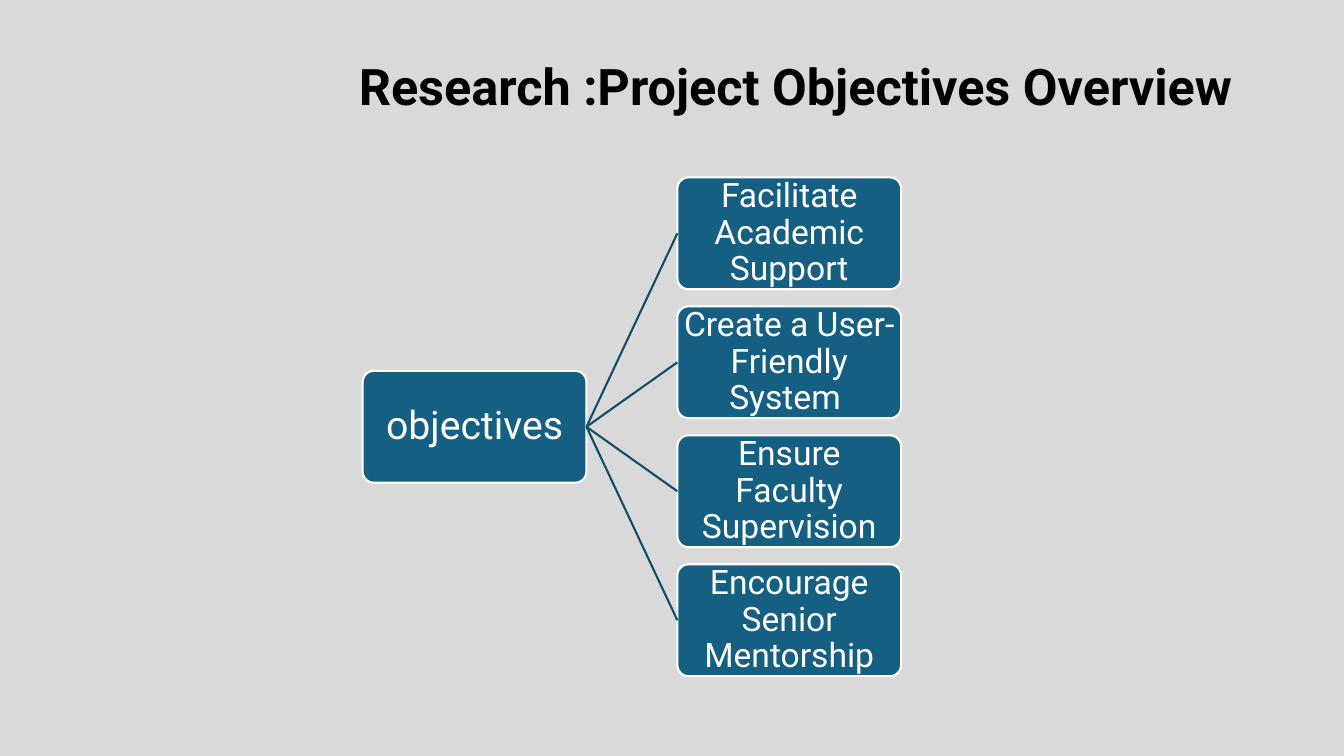
from dataclasses import dataclass

from lxml.etree import SubElement
from pptx import Presentation
from pptx.dml.color import RGBColor
from pptx.enum.shapes import MSO_CONNECTOR, MSO_SHAPE
from pptx.enum.text import MSO_ANCHOR, PP_ALIGN
from pptx.oxml.ns import qn
from pptx.util import Cm, Pt


@dataclass(frozen=True)
class Theme:
    font: str = "Roboto"
    background: RGBColor = RGBColor(0xD9, 0xD9, 0xD9)
    title: RGBColor = RGBColor(0x00, 0x00, 0x00)
    box: RGBColor = RGBColor(0x15, 0x60, 0x82)
    box_text: RGBColor = RGBColor(0xFF, 0xFF, 0xFF)
    link: RGBColor = RGBColor(0x11, 0x4D, 0x68)
    title_size: Pt = Pt(36)
    root_size: Pt = Pt(28)
    branch_size: Pt = Pt(24)
    line_width: Pt = Pt(1.5)


THEME = Theme()

# Tree layout in centimetres
BOX_WIDTH, BOX_HEIGHT = 5.64, 2.82
ROOT_LEFT, BRANCH_LEFT = 9.14, 17.07
BRANCH_TOP, BRANCH_PITCH = 4.47, 3.25

OBJECTIVES = [
    "Facilitate Academic Support",
    "Create a User-Friendly System ",
    "Ensure Faculty Supervision",
    "Encourage Senior Mentorship",
]


def add_span(para, text, size, color, bold=False):
    span = para.add_run()
    span.text = text
    span.font.name = THEME.font
    span.font.size = size
    span.font.bold = bold
    span.font.color.rgb = color


def set_title(page, text):
    title = page.shapes.title
    title.left, title.top = Cm(8.79), Cm(1.27)
    title.width, title.height = Cm(24.18), Cm(1.8)
    frame = title.text_frame
    frame.vertical_anchor = MSO_ANCHOR.TOP
    para = frame.paragraphs[0]
    para.alignment = PP_ALIGN.LEFT
    add_span(para, text, THEME.title_size, THEME.title, bold=True)


def add_box(page, left, top, text, size):
    box = page.shapes.add_shape(
        MSO_SHAPE.ROUNDED_RECTANGLE, Cm(left), Cm(top), Cm(BOX_WIDTH), Cm(BOX_HEIGHT)
    )
    box.adjustments[0] = 0.1
    box.shadow.inherit = False
    box.fill.solid()
    box.fill.fore_color.rgb = THEME.box
    box.line.color.rgb = THEME.box_text
    box.line.width = THEME.line_width
    frame = box.text_frame
    frame.word_wrap = True
    frame.vertical_anchor = MSO_ANCHOR.MIDDLE
    frame.margin_left = frame.margin_right = Cm(0.05)
    frame.margin_top = frame.margin_bottom = Cm(0.05)
    para = frame.paragraphs[0]
    para.alignment = PP_ALIGN.CENTER
    para.line_spacing = 0.9
    add_span(para, text, size, THEME.box_text)
    return box


def add_link(page, root, branch):
    link = page.shapes.add_connector(MSO_CONNECTOR.STRAIGHT, 0, 0, 0, 0)
    link.begin_connect(root, 3)  # right side
    link.end_connect(branch, 1)  # left side
    link.line.color.rgb = THEME.link
    link.line.width = THEME.line_width
    SubElement(link._element.spPr, qn("a:effectLst"))


def main():
    deck = Presentation()
    deck.slide_width, deck.slide_height = Cm(33.87), Cm(19.05)
    page = deck.slides.add_slide(deck.slide_layouts[5])
    page.background.fill.solid()
    page.background.fill.fore_color.rgb = THEME.background

    set_title(page, "Research :Project Objectives Overview")

    # Root box, centred on the column of branches
    root_top = BRANCH_TOP + (len(OBJECTIVES) - 1) * BRANCH_PITCH / 2
    root = add_box(page, ROOT_LEFT, root_top, "objectives", THEME.root_size)

    # One linked box per objective
    for index, objective in enumerate(OBJECTIVES):
        top = BRANCH_TOP + index * BRANCH_PITCH
        branch = add_box(page, BRANCH_LEFT, top, objective, THEME.branch_size)
        add_link(page, root, branch)

    deck.save("out.pptx")


if __name__ == "__main__":
    main()
